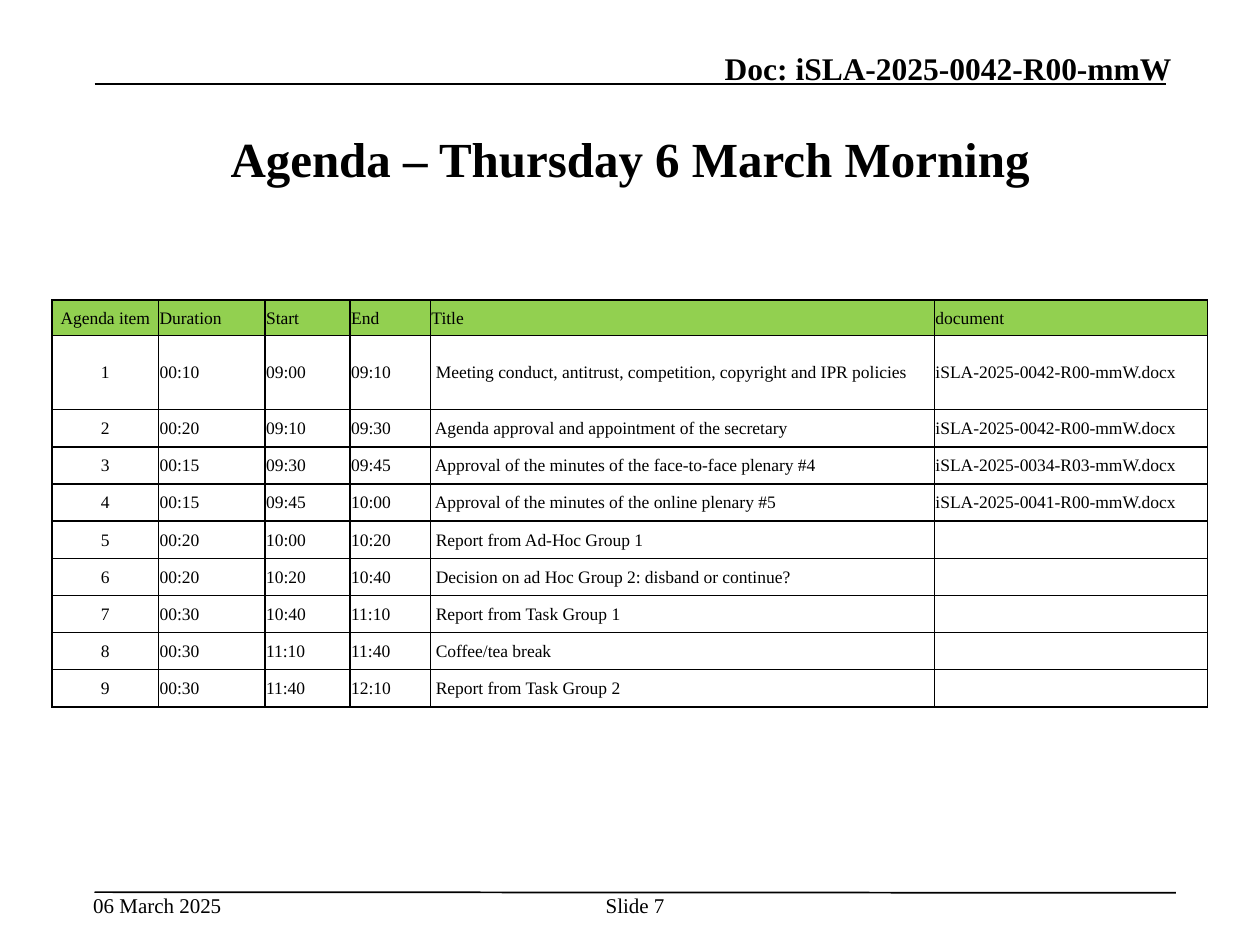
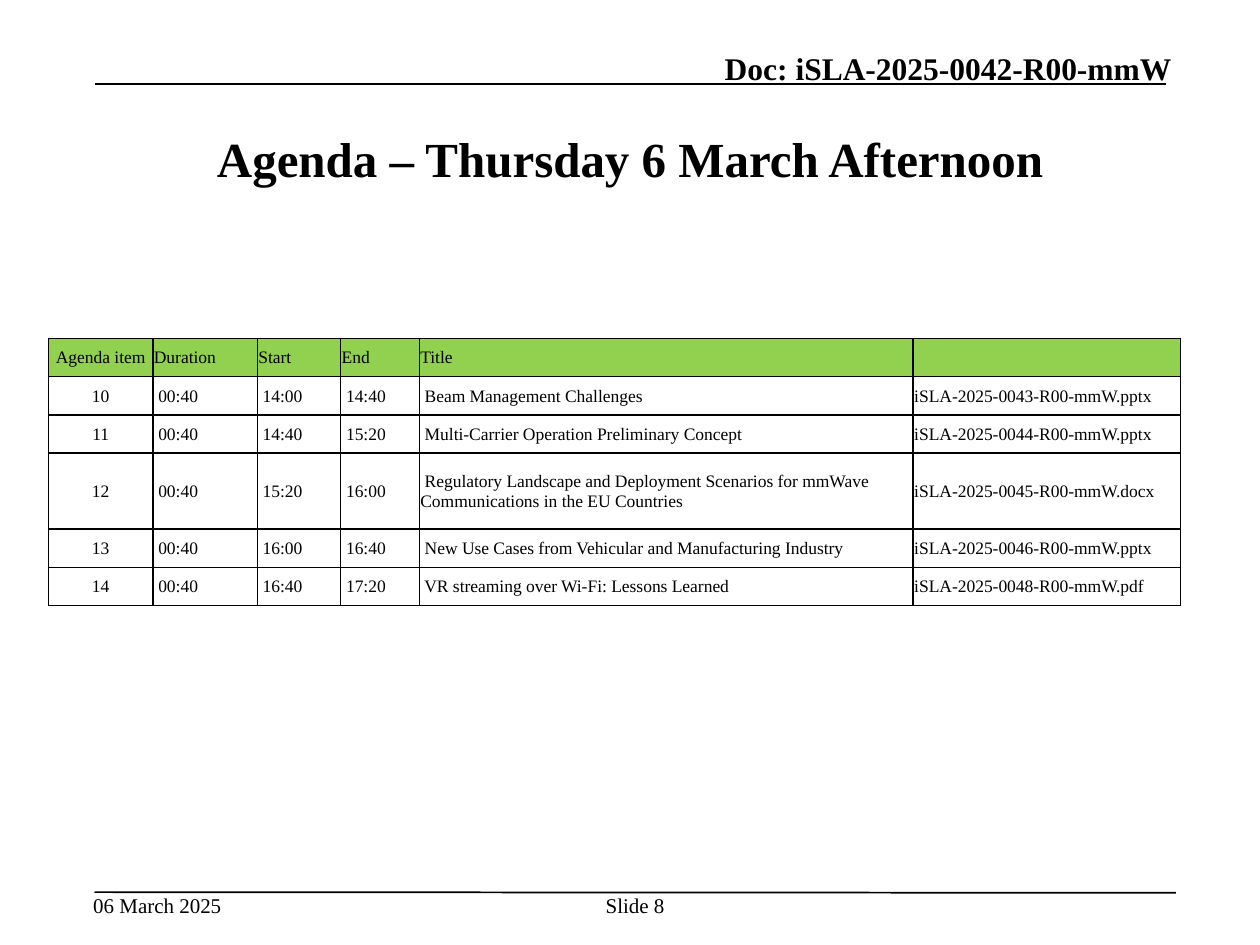
from dataclasses import dataclass

from lxml import etree
from pptx import Presentation
from pptx import util as u
from pptx.dml.color import RGBColor
from pptx.enum import shapes, text
from pptx.oxml.ns import qn

Pt = u.Pt
COLORS = {"ink": "000000", "header": "92D050"}
FONT = "Times New Roman"
LEFT, CENTER, RIGHT = text.PP_ALIGN.LEFT, text.PP_ALIGN.CENTER, text.PP_ALIGN.RIGHT
TOP, MIDDLE, BOTTOM = (text.MSO_ANCHOR.TOP, text.MSO_ANCHOR.MIDDLE,
                       text.MSO_ANCHOR.BOTTOM)
DOC = "iSLA-2025-"
COLUMN_WIDTHS = (60.9, 60.9, 48.6, 45.9, 288, 156)


@dataclass(frozen=True)
class Label:
    """Text box: place in points and text format."""
    left: float
    top: float
    width: float
    height: float
    size: float
    bold: bool = False
    align: text.PP_ALIGN = LEFT
    anchor: text.MSO_ANCHOR = TOP
    inset: tuple[float, float] = (0, 0)
    wrap: bool = True


@dataclass(frozen=True)
class Rule:
    """Straight line, in points."""
    x1: float
    y1: float
    x2: float
    y2: float


@dataclass(frozen=True)
class Item:
    """Agenda item; its times and number follow from its place in the list."""
    minutes: int
    title: str
    document: str = ""


@dataclass(frozen=True)
class Agenda:
    """One slide with its agenda table."""
    session: str
    slide_number: int
    left: float
    top: float
    scale: float
    header_height: float
    row_height: float
    tall_row: int
    first_item: int
    start: int
    time_prefix: str
    last_heading: str
    items: tuple[Item, ...]


# Shared parts
RULES = (Rule(54, 48, 666, 48), Rule(54, 509.8, 672, 510.2))
DOC_LABEL = Label(393.8, 28.1, 275.8, 21.6, 18, True, RIGHT, BOTTOM)
DATE_LABEL = Label(53.3, 510, 74.2, 14.4, 12, wrap=False)
NUMBER_LABEL = Label(342, 510, 41.8, 28.8, 12, align=CENTER)
TITLE_LABEL = Label(54, 54, 612, 72, 28, True, CENTER, MIDDLE, (7.2, 3.6))

# Agenda content
AGENDAS = (
    Agenda("Morning", 7, 29.7, 171.4, 1, 20.2, 21.25, 1, 1, 9 * 60, "", "document", (
        Item(10, "Meeting conduct, antitrust, competition, copyright and IPR policies",
             "0042-R00-mmW.docx"),
        Item(20, "Agenda approval and appointment of the secretary", "0042-R00-mmW.docx"),
        Item(15, "Approval of the minutes of the face-to-face plenary #4",
             "0034-R03-mmW.docx"),
        Item(15, "Approval of the minutes of the online plenary #5", "0041-R00-mmW.docx"),
        Item(20, "Report from Ad-Hoc Group 1"),
        Item(20, "Decision on ad Hoc Group 2: disband or continue?"),
        Item(30, "Report from Task Group 1"),
        Item(30, "Coffee/tea break"),
        Item(30, "Report from Task Group 2"),
    )),
    Agenda("Afternoon", 8, 27.7, 193.4, 0.98, 21.8, 21.8, 3, 10, 14 * 60, " ", "", (
        Item(40, "Beam Management Challenges", "0043-R00-mmW.pptx"),
        Item(40, "Multi-Carrier Operation Preliminary Concept", "0044-R00-mmW.pptx"),
        Item(40, "Regulatory Landscape and Deployment Scenarios for mmWave "
             "Communications in the EU Countries", "0045-R00-mmW.docx"),
        Item(40, "New Use Cases from Vehicular and Manufacturing Industry",
             "0046-R00-mmW.pptx"),
        Item(40, "VR streaming over Wi-Fi: Lessons Learned", "0048-R00-mmW.pdf"),
    )),
)


def color(name: str) -> RGBColor:
    return RGBColor.from_string(COLORS[name])


def set_all(target, values: dict) -> None:
    for name, value in values.items():
        setattr(target, name, value)


def write(p, words: str, size: float, bold: bool, align: text.PP_ALIGN) -> None:
    p.alignment = align
    if not words:
        # An empty cell keeps the row's text size
        p._p.get_or_add_endParaRPr().set("sz", str(int(size * 100)))
        return
    r = p.add_run()
    r.text = words
    set_all(r.font, {"name": FONT, "size": Pt(size), "bold": bold})
    r.font.color.rgb = color("ink")


def draw_label(s, label: Label, words: str) -> None:
    sp = s.shapes.add_textbox(Pt(label.left), Pt(label.top),
                              Pt(label.width), Pt(label.height))
    tf = sp.text_frame
    side, edge = (Pt(v) for v in label.inset)
    set_all(tf, {"margin_left": side, "margin_right": side, "margin_top": edge,
                 "margin_bottom": edge, "word_wrap": label.wrap,
                 "vertical_anchor": label.anchor})
    write(tf.paragraphs[0], words, label.size, label.bold, label.align)


def draw_rule(s, rule: Rule) -> None:
    c = s.shapes.add_connector(shapes.MSO_CONNECTOR.STRAIGHT, Pt(rule.x1), Pt(rule.y1),
                               Pt(rule.x2), Pt(rule.y2))
    c.line.color.rgb = color("ink")
    c.line.width = Pt(1)
    etree.SubElement(c._element.spPr, qn("a:effectLst"))


def add_borders(cell) -> None:
    tc_pr = cell._tc.get_or_add_tcPr()
    for side in ("lnL", "lnR", "lnT", "lnB"):
        ln = etree.SubElement(tc_pr, qn(f"a:{side}"), w=str(Pt(1)))
        fill = etree.SubElement(ln, qn("a:solidFill"))
        etree.SubElement(fill, qn("a:srgbClr"), val=COLORS["ink"])


def clock(minutes: int) -> str:
    return f"{minutes // 60:02}:{minutes % 60:02}"


def table_rows(agenda: Agenda) -> list[tuple[str, ...]]:
    rows = [("Agenda item", "Duration", "Start", "End", "Title", agenda.last_heading)]
    start = agenda.start
    for number, item in enumerate(agenda.items, agenda.first_item):
        end = start + item.minutes
        times = (agenda.time_prefix + clock(t) for t in (item.minutes, start, end))
        document = DOC + item.document if item.document else ""
        rows.append((str(number), *times, " " + item.title, document))
        start = end
    return rows


def draw_table(s, agenda: Agenda) -> None:
    rows = table_rows(agenda)
    widths = [w * agenda.scale for w in COLUMN_WIDTHS]
    heights = [agenda.header_height] + [agenda.row_height] * len(agenda.items)
    heights[agenda.tall_row] = 2 * agenda.row_height
    table = s.shapes.add_table(len(rows), len(widths), Pt(agenda.left), Pt(agenda.top),
                               Pt(sum(widths)), Pt(sum(heights))).table
    set_all(table, {"first_row": False, "horz_banding": False})
    for column, width in zip(table.columns, widths):
        column.width = Pt(width)
    for i, (row, height) in enumerate(zip(rows, heights)):
        table.rows[i].height = Pt(height)
        for j, words in enumerate(row):
            cell = table.cell(i, j)
            set_all(cell, {"margin_left": Pt(0.6), "margin_right": Pt(0.6),
                           "margin_top": Pt(0.6), "margin_bottom": Pt(0),
                           "vertical_anchor": MIDDLE})
            add_borders(cell)
            if i == 0:
                cell.fill.solid()
                cell.fill.fore_color.rgb = color("header")
            else:
                cell.fill.background()
            write(cell.text_frame.paragraphs[0], words, 10, False,
                  CENTER if j == 0 else LEFT)


def draw_slide(prs, agenda: Agenda) -> None:
    s = prs.slides.add_slide(prs.slide_layouts[6])
    for rule in RULES:
        draw_rule(s, rule)
    draw_label(s, DATE_LABEL, "06 March 2025")
    draw_label(s, DOC_LABEL, f"Doc: {DOC}0042-R00-mmW")
    draw_label(s, TITLE_LABEL, f"Agenda – Thursday 6 March {agenda.session}")
    draw_label(s, NUMBER_LABEL, f"Slide {agenda.slide_number}")
    draw_table(s, agenda)


def main() -> None:
    prs = Presentation()
    set_all(prs, {"slide_width": Pt(720), "slide_height": Pt(540)})
    for agenda in AGENDAS:
        draw_slide(prs, agenda)
    prs.save("out.pptx")


if __name__ == "__main__":
    main()
